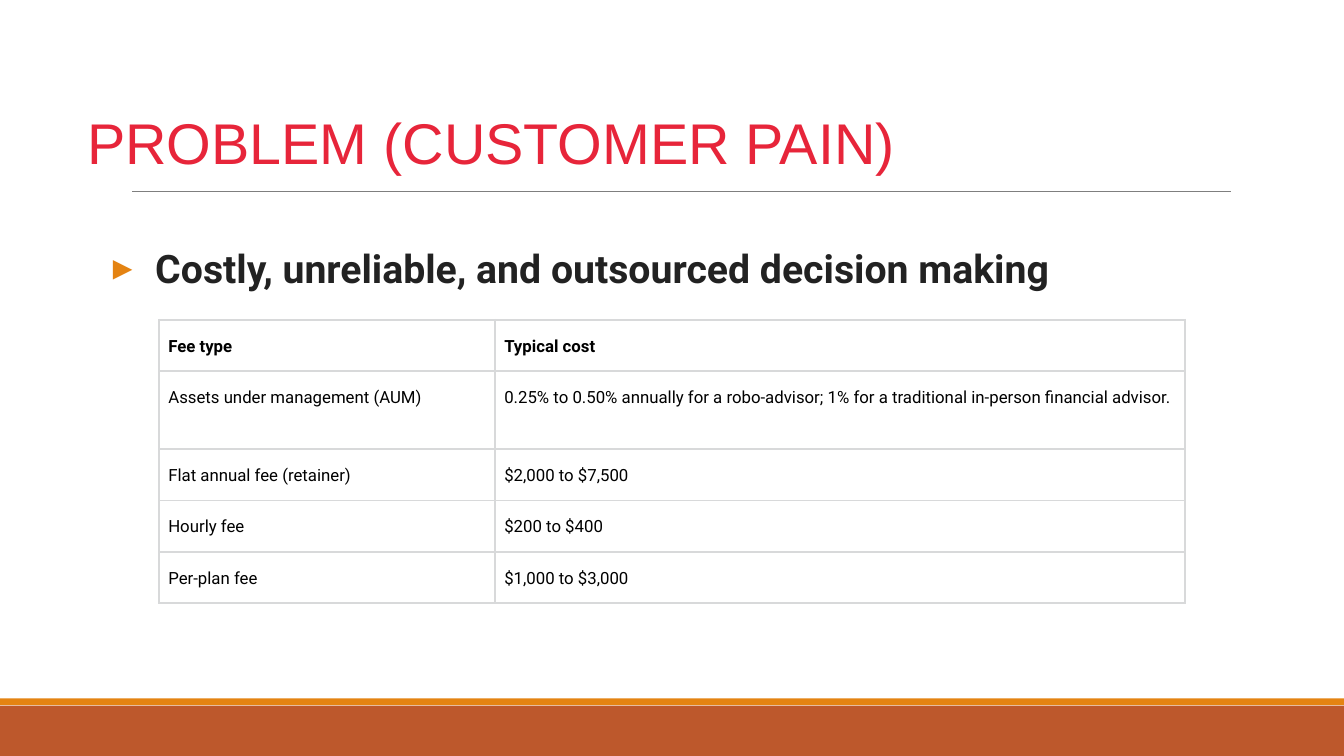
from lxml.etree import SubElement
from pptx import Presentation
from pptx.dml.color import RGBColor
from pptx.enum.shapes import MSO_CONNECTOR, MSO_SHAPE
from pptx.enum.text import MSO_ANCHOR, PP_ALIGN
from pptx.oxml import parse_xml
from pptx.oxml.ns import nsdecls, qn
from pptx.util import Inches, Pt

RUST = RGBColor(0xBD, 0x58, 0x2C)
ORANGE = RGBColor(0xE4, 0x83, 0x12)
GRAY = RGBColor(0x7F, 0x7F, 0x7F)
RED = RGBColor(0xE7, 0x25, 0x3A)
INK = RGBColor(0x22, 0x22, 0x22)
BLACK = RGBColor(0x00, 0x00, 0x00)
WHITE = RGBColor(0xFF, 0xFF, 0xFF)
BORDER = RGBColor(0xD8, 0xD9, 0xDA)

FEES = [
    ("Fee type", "Typical cost"),
    ("Assets under management (AUM)",
     "0.25% to 0.50% annually for a robo-advisor; 1% for a traditional in-person financial advisor."),
    ("Flat annual fee (retainer)", "$2,000 to $7,500"),
    ("Hourly fee", "$200 to $400"),
    ("Per-plan fee", "$1,000 to $3,000"),
]


class SlideBuilder:
    """Draws styled elements on a slide, placed in percent of its width and height."""

    def __init__(self, presentation):
        self.width = presentation.slide_width
        self.height = presentation.slide_height
        self.slide = presentation.slides.add_slide(presentation.slide_layouts[6])
        self.shapes = self.slide.shapes

    def across(self, share):
        return round(self.width * share / 100)

    def down(self, share):
        return round(self.height * share / 100)

    def area(self, left, top, width, height):
        return self.across(left), self.down(top), self.across(width), self.down(height)

    def band(self, top, height, color):
        shape = self.shapes.add_shape(MSO_SHAPE.RECTANGLE, *self.area(0, top, 100, height))
        shape.shadow.inherit = False
        shape.fill.solid()
        shape.fill.fore_color.rgb = color
        shape.line.fill.background()

    def rule(self, left, right, top):
        connector = self.shapes.add_connector(
            MSO_CONNECTOR.STRAIGHT, self.across(left), self.down(top),
            self.across(right), self.down(top))
        connector.line.color.rgb = GRAY
        connector.line.width = Pt(0.75)
        SubElement(connector._element.spPr, qn("a:effectLst"))

    def style(self, paragraph, font_name, size, color, bold=False):
        font = paragraph.font
        font.name, font.size, font.bold = font_name, Pt(size), bold
        font.color.rgb = color

    def text(self, words, area, font_name, size, color, bold=False, bullet=None):
        frame = self.shapes.add_textbox(*self.area(*area)).text_frame
        frame.word_wrap = True
        frame.margin_left = frame.margin_right = Inches(0.05)
        frame.margin_top = frame.margin_bottom = Inches(0.05)
        paragraph = frame.paragraphs[0]
        paragraph.text = words
        if bullet:
            properties = paragraph._p.get_or_add_pPr()
            properties.set("marL", str(Inches(0.43)))
            properties.set("indent", str(Inches(-0.42)))
            bullet_color = SubElement(properties, qn("a:buClr"))
            SubElement(bullet_color, qn("a:srgbClr"), val=str(ORANGE))
            SubElement(properties, qn("a:buFont"), typeface="Arial")
            SubElement(properties, qn("a:buChar"), char=bullet)
        self.style(paragraph, font_name, size, color, bold)

    def table(self, rows, left, top, column_widths, row_heights):
        area = self.area(left, top, sum(column_widths), sum(row_heights))
        table = self.shapes.add_table(len(rows), len(column_widths), *area).table
        table.horz_banding = False
        for column, width in zip(table.columns, column_widths):
            column.width = self.across(width)
        for row, height in zip(table.rows, row_heights):
            row.height = self.down(height)
        for row_index, row in enumerate(rows):
            for column_index, words in enumerate(row):
                self.cell(table.cell(row_index, column_index), words, row_index == 0)

    def cell(self, cell, words, bold):
        cell.margin_left = cell.margin_right = Inches(0.09)
        cell.margin_top = cell.margin_bottom = Inches(0.07)
        cell.vertical_anchor = MSO_ANCHOR.TOP
        cell.fill.solid()
        cell.fill.fore_color.rgb = WHITE
        properties = cell._tc.get_or_add_tcPr()
        for index, side in enumerate(("lnL", "lnR", "lnT", "lnB")):
            properties.insert(index, parse_xml(
                f'<a:{side} {nsdecls("a")} w="{Pt(1.5)}"><a:solidFill>'
                f'<a:srgbClr val="{BORDER}"/></a:solidFill></a:{side}>'))
        paragraph = cell.text_frame.paragraphs[0]
        paragraph.text = words
        paragraph.alignment = PP_ALIGN.LEFT
        paragraph.line_spacing = 1.5
        self.style(paragraph, "Roboto", 12, BLACK, bold)


def main():
    presentation = Presentation()
    presentation.slide_width = Inches(13.33)
    presentation.slide_height = Inches(7.5)
    builder = SlideBuilder(presentation)
    builder.band(93.33, 6.67, RUST)
    builder.band(92.4, 0.88, ORANGE)
    builder.rule(9.85, 91.6, 25.33)
    builder.text("PROBLEM (CUSTOMER PAIN)", (6.1, 13.5, 87.9, 10), "Arial", 41, RED)
    builder.text("Costly, unreliable, and outsourced decision making",
                 (7.95, 31.6, 84.2, 8), "Roboto", 28, INK, bold=True, bullet="▸")
    builder.table(FEES, 11.85, 42.3, (25, 51.3), (6.8, 10.3, 6.8, 6.8, 6.8))
    presentation.save("out.pptx")


if __name__ == "__main__":
    main()
